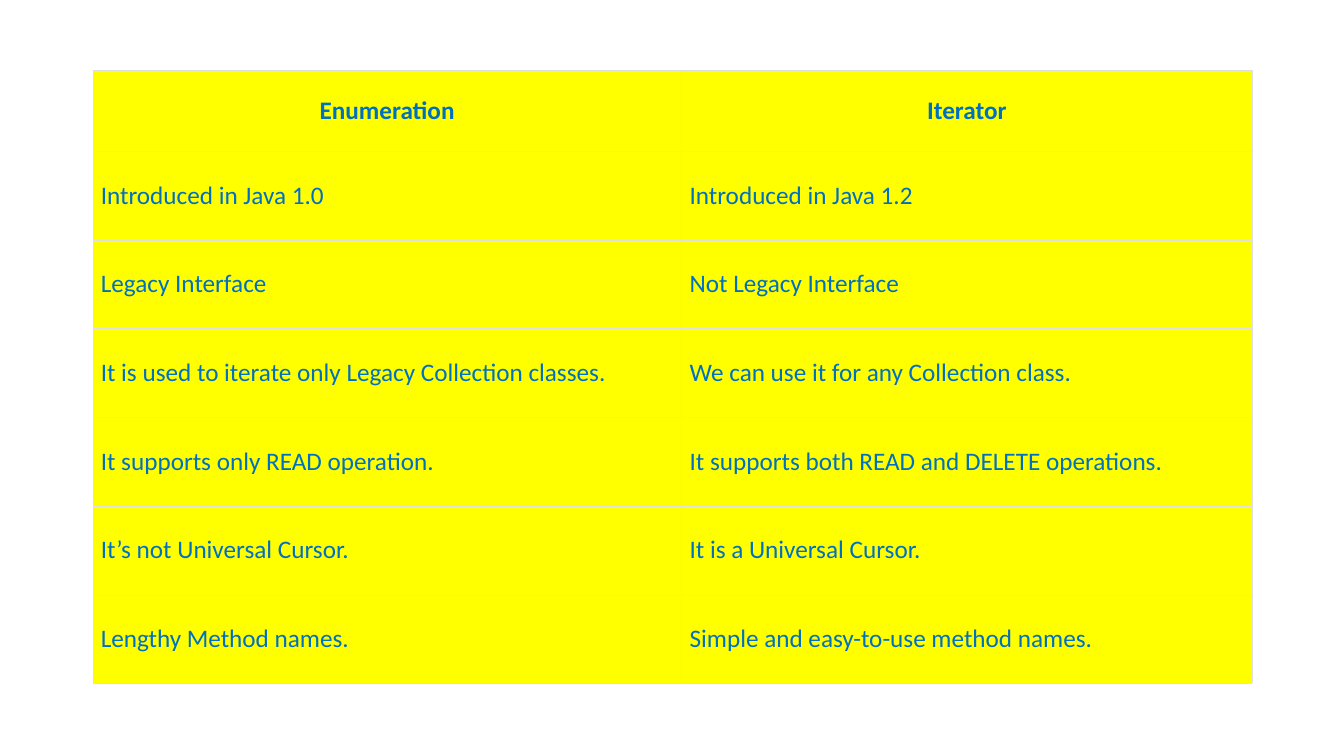
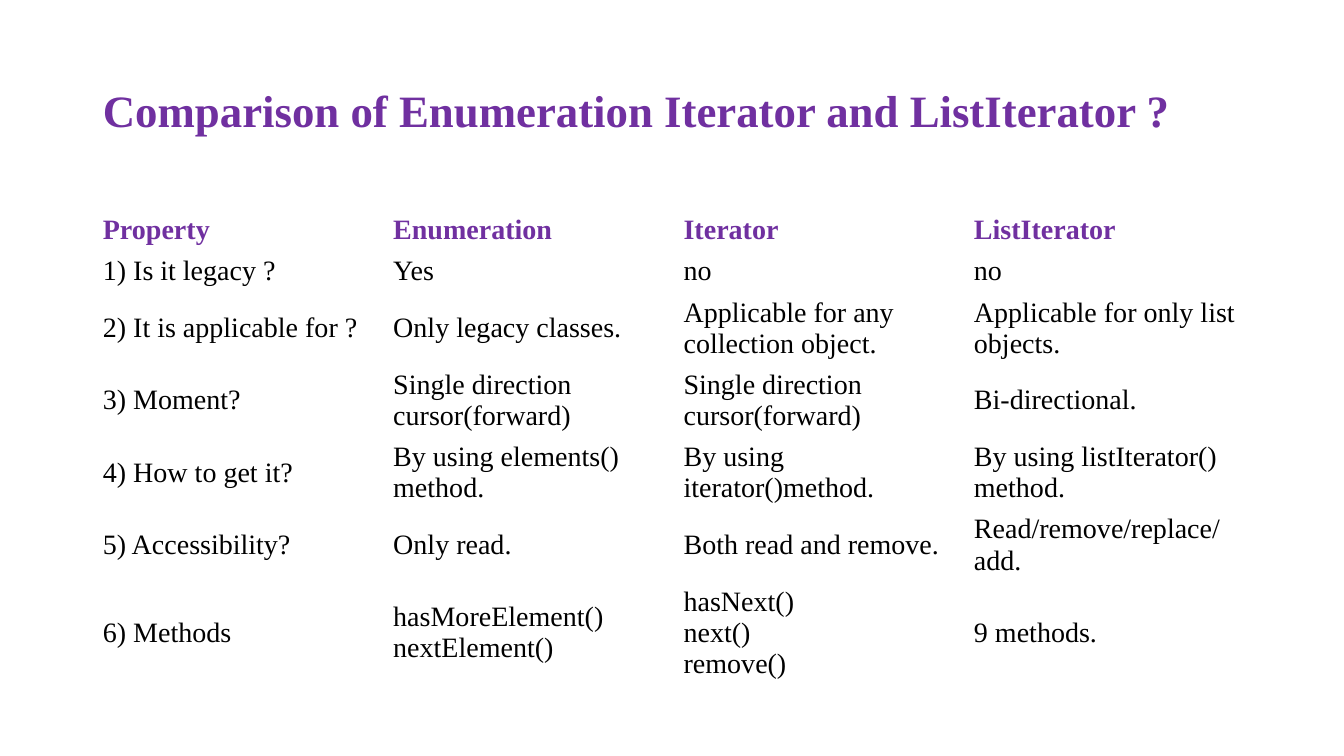
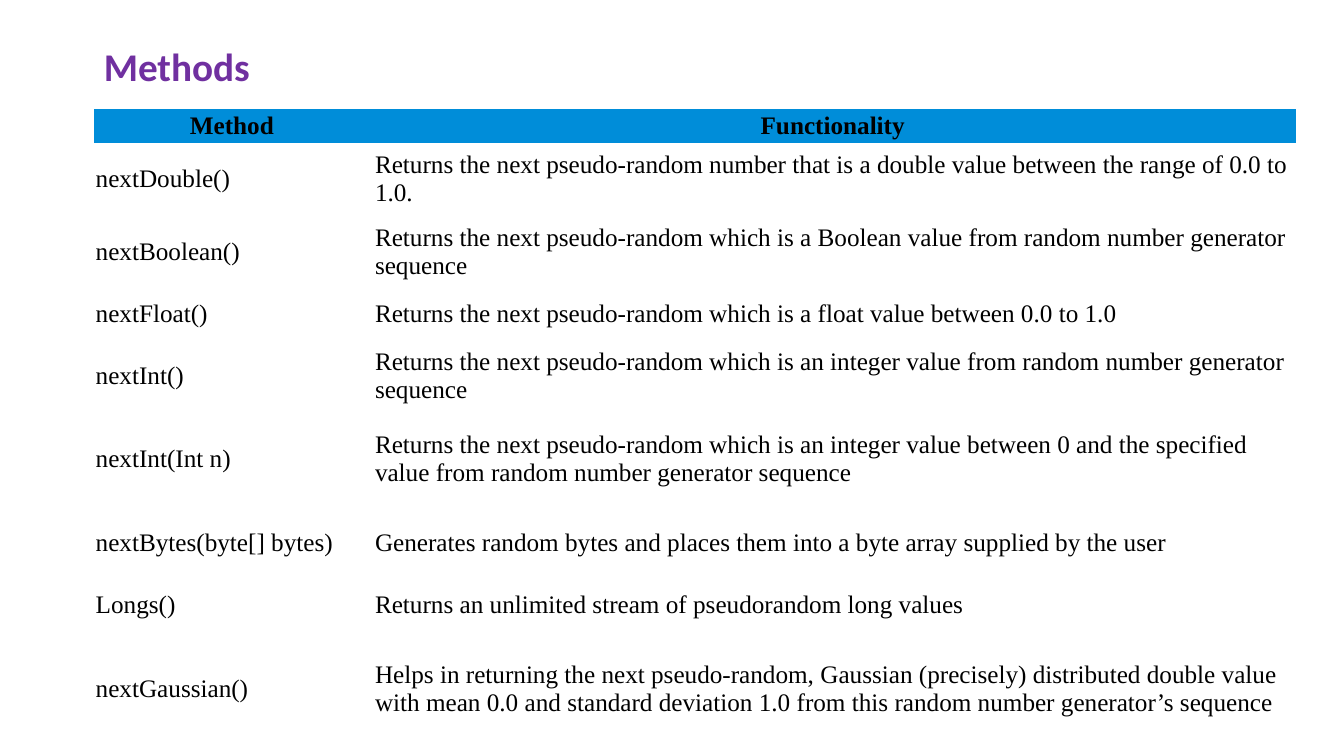
from dataclasses import dataclass

from lxml import etree
from pptx import Presentation
from pptx import util as u
from pptx.dml import color
from pptx.enum import text
from pptx.oxml import ns


@dataclass(frozen=True)
class Theme:
    sans: str = "Calibri"
    serif: str = "Times New Roman"
    purple: str = "7030A0"
    blue: str = "0070C0"
    black: str = "000000"
    yellow: str = "FFFF00"
    band: str = "008DD9"
    grid: str = "DFDFDF"
    title: int = 32
    subtitle: int = 28
    large: int = 20
    body: int = 18
    grid_width: float = 0.18
    plain_table: str = "{2D5ABB26-0587-4C30-8999-92F81FD0307C}"


THEME = Theme()
LAYOUT_TITLE_ONLY, LAYOUT_BLANK = 5, 6


@dataclass(frozen=True)
class RowStyle:
    """Look of a table row; insets run left, top, right, bottom."""
    font: str
    size: int
    ink: str
    fill: str = ""
    bold: bool = False
    align: text.PP_ALIGN = text.PP_ALIGN.LEFT
    insets: tuple = (0.1, 0.05, 0.1, 0.05)


def rgb(value):
    return color.RGBColor.from_string(value)


def format_paragraph(p, font, size, ink, bold, align):
    p.alignment = align
    p.font.name = font
    p.font.size = u.Pt(size)
    p.font.bold = bold
    p.font.color.rgb = rgb(ink)


def add_title(slide, wording, box, font, size, anchor, spacing=1.0):
    sp = slide.shapes.title
    sp.left, sp.top, sp.width, sp.height = map(u.Inches, box)
    tf = sp.text_frame
    tf.word_wrap = True
    tf.auto_size = text.MSO_AUTO_SIZE.NONE
    tf.vertical_anchor = anchor
    p = tf.paragraphs[0]
    p.text = wording
    p.line_spacing = spacing
    format_paragraph(p, font, size, THEME.purple, True, text.PP_ALIGN.LEFT)


def set_borders(cell):
    """Draw the thin grid line on all four sides; call before filling."""
    props = cell._tc.get_or_add_tcPr()
    for side in ("a:lnL", "a:lnR", "a:lnT", "a:lnB"):
        ln = etree.SubElement(props, ns.qn(side), w=str(u.Pt(THEME.grid_width)))
        fill = etree.SubElement(ln, ns.qn("a:solidFill"))
        etree.SubElement(fill, ns.qn("a:srgbClr"), val=THEME.grid)


def fill_cell(cell, wording, style, bordered):
    if bordered:
        set_borders(cell)
    if style.fill:
        cell.fill.solid()
        cell.fill.fore_color.rgb = rgb(style.fill)
    else:
        cell.fill.background()
    cell.vertical_anchor = text.MSO_ANCHOR.MIDDLE
    (cell.margin_left, cell.margin_top,
     cell.margin_right, cell.margin_bottom) = map(u.Inches, style.insets)
    p = cell.text_frame.paragraphs[0]
    p.text = wording
    format_paragraph(p, style.font, style.size, style.ink, style.bold, style.align)


def add_table(slide, left, top, widths, heights, rows, header, body, bordered=False):
    frame = slide.shapes.add_table(
        len(rows), len(widths), u.Inches(left), u.Inches(top),
        u.Inches(sum(widths)), u.Inches(sum(heights)))
    table = frame.table
    table.horz_banding = False
    table._tbl.tblPr.find(ns.qn("a:tableStyleId")).text = THEME.plain_table
    for column, width in zip(table.columns, widths):
        column.width = u.Inches(width)
    for i, (row, height, wordings) in enumerate(zip(table.rows, heights, rows)):
        row.height = u.Inches(height)
        for cell, wording in zip(row.cells, wordings):
            fill_cell(cell, wording, body if i else header, bordered)


def add_slide(prs, layout):
    return prs.slides.add_slide(prs.slide_layouts[layout])


def enumeration_slide(prs):
    rows = [
        ("Enumeration", "Iterator"),
        ("Introduced in Java 1.0", "Introduced in Java 1.2"),
        ("Legacy Interface", "Not Legacy Interface"),
        ("It is used to iterate only Legacy Collection classes.",
         "We can use it for any Collection class."),
        ("It supports only READ operation.",
         "It supports both READ and DELETE operations."),
        ("It’s not Universal Cursor.", "It is a Universal Cursor."),
        ("Lengthy Method names.", "Simple and easy-to-use method names."),
    ]
    look = (THEME.sans, THEME.body, THEME.blue, THEME.yellow)
    header = RowStyle(*look, bold=True, align=text.PP_ALIGN.CENTER,
                      insets=(0.08,) * 4)
    body = RowStyle(*look, insets=(0.08, 0.12, 0.08, 0.12))
    add_table(add_slide(prs, LAYOUT_BLANK), 0.92, 0.7, (5.84, 5.66),
              [0.8] + [0.88] * 6, rows, header, body, bordered=True)


def comparison_slide(prs):
    slide = add_slide(prs, LAYOUT_TITLE_ONLY)
    add_title(slide, "Comparison of Enumeration Iterator and ListIterator ?",
              (0.92, 0.4, 11.5, 1.45), THEME.serif, THEME.title,
              text.MSO_ANCHOR.MIDDLE, spacing=0.9)
    rows = [
        ("Property", "Enumeration", "Iterator", "ListIterator"),
        ("1) Is it legacy ?", "Yes", "no", "no"),
        ("2) It is applicable for ?", "Only legacy classes.",
         "Applicable for any collection object.",
         "Applicable for only list objects."),
        ("3) Moment?", "Single direction cursor(forward)",
         "Single direction cursor(forward)", "Bi-directional."),
        ("4) How to get it?", "By using elements() method.",
         "By using iterator()method.", "By using listIterator() method."),
        ("5) Accessibility?", "Only read.", "Both read and remove.",
         "Read/remove/replace/add."),
        ("6) Methods", "hasMoreElement()\nnextElement()",
         "hasNext()\nnext()\nremove()", "9 methods."),
    ]
    header = RowStyle(THEME.serif, THEME.large, THEME.purple, bold=True)
    body = RowStyle(THEME.serif, THEME.large, THEME.black)
    add_table(slide, 0.92, 2.08, [2.88] * 4, [0.4] * 2 + [0.71] * 4 + [1.02],
              rows, header, body)


def methods_slide(prs):
    slide = add_slide(prs, LAYOUT_TITLE_ONLY)
    add_title(slide, "Methods", (0.93, 0.37, 2.58, 0.57), THEME.sans,
              THEME.subtitle, text.MSO_ANCHOR.TOP)
    rows = [
        ("Method", "Functionality"),
        ("nextDouble()", "Returns the next pseudo-random number that is a "
         "double value between the range of 0.0 to 1.0."),
        ("nextBoolean()", "Returns the next pseudo-random which is a Boolean "
         "value from random number generator sequence"),
        ("nextFloat()", "Returns the next pseudo-random which is a float "
         "value between 0.0 to 1.0"),
        ("nextInt()", "Returns the next pseudo-random which is an integer "
         "value from random number generator sequence"),
        ("nextInt(Int n)", "Returns the next pseudo-random which is an integer "
         "value between 0 and the specified value from random number "
         "generator sequence"),
        ("nextBytes(byte[] bytes)", "Generates random bytes and places them "
         "into a byte array supplied by the user"),
        ("Longs()", "Returns an unlimited stream of pseudorandom long values"),
        ("nextGaussian()", "Helps in returning the next pseudo-random, "
         "Gaussian (precisely) distributed double value with mean 0.0 and "
         "standard deviation 1.0 from this random number generator’s sequence"),
    ]
    look = (THEME.serif, THEME.body, THEME.black)
    insets = (0.02, 0.03, 0.05, 0.03)
    header = RowStyle(*look, fill=THEME.band, bold=True,
                      align=text.PP_ALIGN.CENTER, insets=insets)
    body = RowStyle(*look, insets=insets)
    heights = (0.3, 0.72, 0.72, 0.51, 0.72, 0.94, 0.72, 0.51, 1.16)
    add_table(slide, 0.93, 1.08, (2.77, 9.15), heights, rows, header, body)


def main():
    prs = Presentation()
    prs.slide_width, prs.slide_height = u.Inches(13.33), u.Inches(7.5)
    enumeration_slide(prs)
    comparison_slide(prs)
    methods_slide(prs)
    prs.save("out.pptx")


if __name__ == "__main__":
    main()
